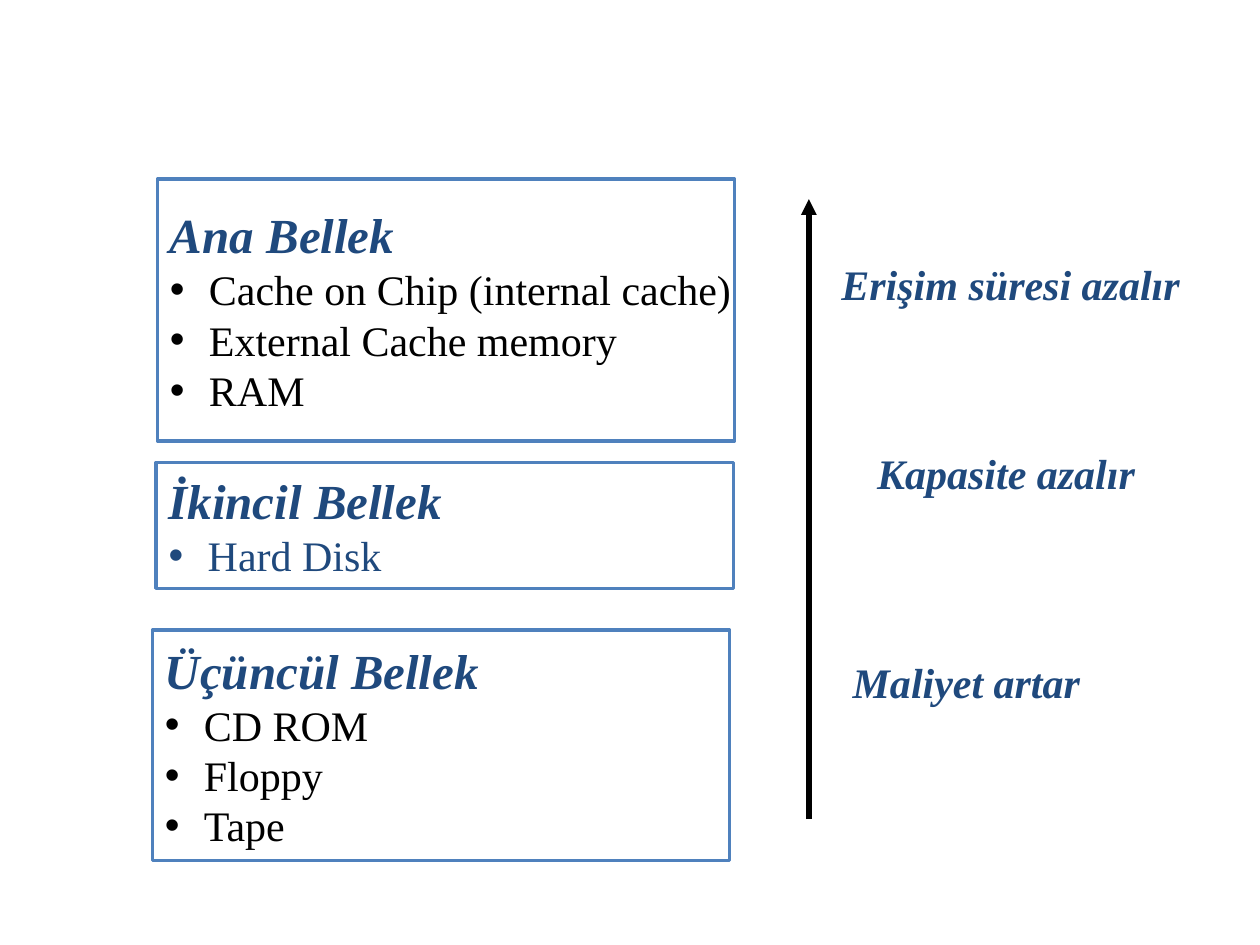
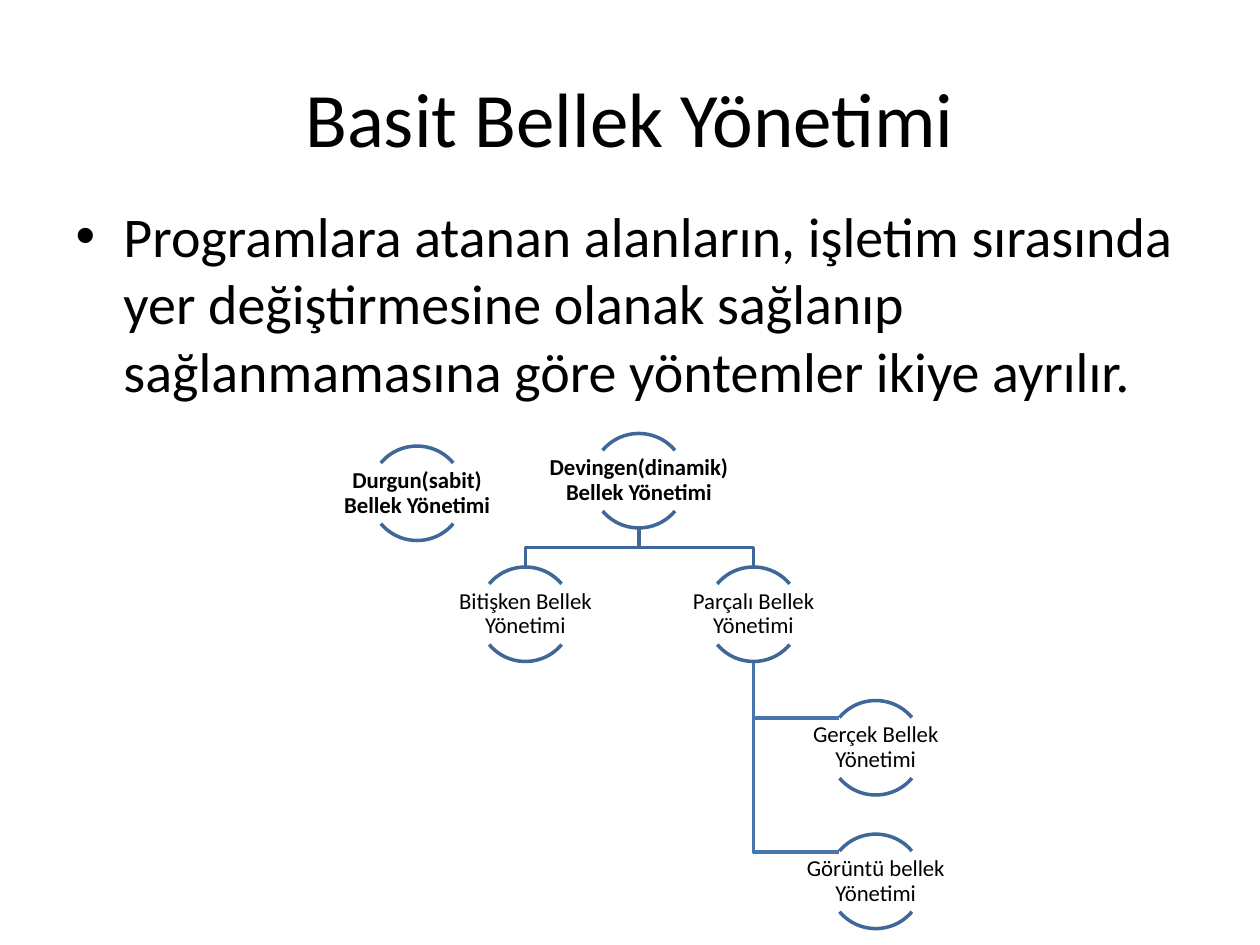
"""Builds two slides on the memory hierarchy and on simple memory management."""
from dataclasses import dataclass

from lxml.etree import SubElement
from pptx import Presentation
from pptx.dml.color import RGBColor
from pptx.enum.shapes import MSO_CONNECTOR as CONNECTOR, MSO_SHAPE as SHAPE
from pptx.enum.text import MSO_ANCHOR as ANCHOR, MSO_AUTO_SIZE as FIT, PP_ALIGN as ALIGN
from pptx.oxml.ns import qn
from pptx.util import Inches, Pt


@dataclass(frozen=True)
class Theme:
    black: str = "000000"
    white: str = "FFFFFF"
    navy: str = "1F497D"
    border: str = "4F81BD"
    branch: str = "3F6797"
    twig: str = "4875AC"
    serif: str = "Times New Roman"
    sans: str = "Calibri"
    title: int = 44
    body: int = 32
    heading: int = 28
    item: int = 24
    node: int = 13
    outline: int = 2
    arrow: int = 3


THEME = Theme()

LEVELS = [
    ("Ana Bellek", ["Cache on Chip (internal cache)", "External Cache memory", "RAM"],
     THEME.black, (1.25, 1.42, 2.08)),
    ("İkincil Bellek", ["Hard Disk"], THEME.navy, (1.24, 3.67, 1)),
    ("Üçüncül Bellek", ["CD ROM", "Floppy", "Tape"], THEME.black, (1.21, 5, 1.83)),
]
LEVEL_WIDTH = 4.58
TRENDS = [
    ("Erişim süresi azalır", (6.58, 2, 3.2), ALIGN.LEFT, True),
    ("Kapasite azalır", (6.85, 3.5, 2.27), ALIGN.CENTER, False),
    ("Maliyet artar", (6.66, 5.16, 2.02), ALIGN.CENTER, False),
]
TREND_HEIGHT = 0.5
AXIS_X, AXIS_BOTTOM, AXIS_TOP = 6.42, 6.5, 1.58

TITLE = "Basit Bellek Yönetimi"
SUMMARY = ("Programlara atanan alanların, işletim sırasında yer değiştirmesine olanak "
           "sağlanıp sağlanmamasına göre yöntemler ikiye ayrılır.")
TREE_TOP, ROW_PITCH, CIRCLE = 3.44, 1.06, 0.75
NODE_WIDTH, NODE_HEIGHT, NODE_INSET = 1.5, 0.48, 0.01
NODES = {
    "static": ("Durgun(sabit) Bellek Yönetimi", 3.31, TREE_TOP + 0.1, True),
    "dynamic": ("Devingen(dinamik) Bellek Yönetimi", 5.07, TREE_TOP, True),
    "adjacent": ("Bitişken Bellek Yönetimi", 4.17, TREE_TOP + ROW_PITCH, False),
    "segmented": ("Parçalı Bellek Yönetimi", 5.98, TREE_TOP + ROW_PITCH, False),
    "real": ("Gerçek Bellek Yönetimi", 6.95, TREE_TOP + 2 * ROW_PITCH, False),
    "virtual": ("Görüntü bellek Yönetimi", 6.95, TREE_TOP + 3 * ROW_PITCH, False),
}
FORKS = [("dynamic", "segmented"), ("dynamic", "adjacent")]
SIDE_BRANCHES = [("segmented", "virtual"), ("segmented", "real")]
ARCS = [(220, 320), (40, 140)]
ARC_END_X, ARC_END_Y = 0.29, 0.14


def inches(*lengths):
    return [Inches(length) for length in lengths]


def write(paragraph, text, size, face, color, bold=False, italic=False):
    run = paragraph.add_run()
    run.text = text
    font = run.font
    font.size, font.name, font.bold, font.italic = Pt(size), face, bold, italic
    font.color.rgb = RGBColor.from_string(color)


def indent(paragraph, width, bullet=False):
    props = paragraph._p.get_or_add_pPr()
    props.set("marL", str(Inches(width)))
    props.set("indent", str(-Inches(width)))
    if bullet:
        SubElement(props, qn("a:buFont")).set("typeface", "Arial")
        SubElement(props, qn("a:buChar")).set("char", "•")


def stroke(line, color, width=THEME.outline):
    line.color.rgb = RGBColor.from_string(color)
    line.width = Pt(width)


def add_level(slide, heading, items, item_color, place):
    left, top, height = place
    box = slide.shapes.add_shape(SHAPE.RECTANGLE, *inches(left, top, LEVEL_WIDTH, height))
    box.shadow.inherit = False
    box.fill.solid()
    box.fill.fore_color.rgb = RGBColor.from_string(THEME.white)
    stroke(box.line, THEME.border)
    frame = box.text_frame
    frame.word_wrap, frame.vertical_anchor = False, ANCHOR.MIDDLE
    first = frame.paragraphs[0]
    first.alignment = ALIGN.LEFT
    indent(first, 0.31)
    write(first, heading, THEME.heading, THEME.serif, THEME.navy, True, True)
    for item in items:
        paragraph = frame.add_paragraph()
        paragraph.alignment = ALIGN.LEFT
        indent(paragraph, 0.31, bullet=True)
        write(paragraph, item, THEME.item, THEME.serif, item_color)


def add_trend(slide, text, place, alignment, wrap):
    frame = slide.shapes.add_textbox(*inches(*place, TREND_HEIGHT)).text_frame
    frame.word_wrap, frame.vertical_anchor = wrap, ANCHOR.MIDDLE
    frame.auto_size = FIT.SHAPE_TO_FIT_TEXT
    frame.paragraphs[0].alignment = alignment
    write(frame.paragraphs[0], text, THEME.item, THEME.serif, THEME.navy, True, True)


def add_axis(slide):
    axis = slide.shapes.add_connector(
        CONNECTOR.STRAIGHT, *inches(AXIS_X, AXIS_BOTTOM, AXIS_X, AXIS_TOP))
    stroke(axis.line, THEME.black, THEME.arrow)
    SubElement(axis.line._get_or_add_ln(), qn("a:tailEnd")).set("type", "triangle")
    SubElement(axis._element.spPr, qn("a:effectLst"))


def add_branch(slide, points, color):
    start, *rest = [inches(*point) for point in points]
    builder = slide.shapes.build_freeform(*start)
    builder.add_line_segments(rest, close=False)
    branch = builder.convert_to_shape()
    branch.shadow.inherit = False
    branch.fill.background()
    stroke(branch.line, color)


def add_node(slide, text, center, top, bold):
    for angles in ARCS:
        arc = slide.shapes.add_shape(
            SHAPE.ARC, *inches(center - CIRCLE / 2, top, CIRCLE, CIRCLE))
        for index, degrees in enumerate(angles):
            arc.adjustments[index] = degrees * 0.6
        arc.shadow.inherit = False
        arc.fill.background()
        stroke(arc.line, THEME.branch)
    frame = slide.shapes.add_textbox(*inches(
        center - NODE_WIDTH / 2, top + (CIRCLE - NODE_HEIGHT) / 2,
        NODE_WIDTH, NODE_HEIGHT)).text_frame
    frame.word_wrap, frame.vertical_anchor = True, ANCHOR.MIDDLE
    frame.margin_left = frame.margin_right = Inches(NODE_INSET)
    frame.margin_top = frame.margin_bottom = Inches(NODE_INSET)
    label = frame.paragraphs[0]
    label.alignment, label.line_spacing = ALIGN.CENTER, 0.9
    write(label, text, THEME.node, THEME.sans, THEME.black, bold)


def add_tree(slide):
    spots = {key: (center, top) for key, (_, center, top, _) in NODES.items()}
    for parent, child in SIDE_BRANCHES:
        (x, top), (child_x, child_top) = spots[parent], spots[child]
        level = child_top + ARC_END_Y
        add_branch(slide, [(x, top + CIRCLE), (x, level), (child_x - ARC_END_X, level)],
                   THEME.twig)
    for parent, child in FORKS:
        (x, top), (child_x, child_top) = spots[parent], spots[child]
        bottom = top + CIRCLE
        middle = (bottom + child_top) / 2
        add_branch(slide, [(x, bottom), (x, middle), (child_x, middle),
                           (child_x, child_top)], THEME.branch)
    for node in NODES.values():
        add_node(slide, *node)


def place_text(holder, place, text, size, anchor, alignment):
    holder.left, holder.top, holder.width, holder.height = inches(*place)
    holder.text_frame.vertical_anchor = anchor
    paragraph = holder.text_frame.paragraphs[0]
    paragraph.alignment, paragraph.space_before = alignment, Pt(0)
    write(paragraph, text, size, THEME.sans, THEME.black)
    return paragraph


def build_hierarchy(deck):
    slide = deck.slides.add_slide(deck.slide_layouts[6])
    for level in LEVELS:
        add_level(slide, *level)
    add_axis(slide)
    for trend in TRENDS:
        add_trend(slide, *trend)


def build_management(deck):
    slide = deck.slides.add_slide(deck.slide_layouts[1])
    place_text(slide.shapes.title, (0.5, 0.3, 9, 1.25), TITLE, THEME.title,
               ANCHOR.MIDDLE, ALIGN.CENTER)
    summary = place_text(slide.placeholders[1], (0.5, 1.55, 9, 4.95), SUMMARY, THEME.body,
                         ANCHOR.TOP, ALIGN.LEFT)
    indent(summary, 0.38, bullet=True)
    add_tree(slide)


def main():
    deck = Presentation()
    deck.slide_width, deck.slide_height = inches(10, 7.5)
    build_hierarchy(deck)
    build_management(deck)
    deck.save("out.pptx")


if __name__ == "__main__":
    main()
